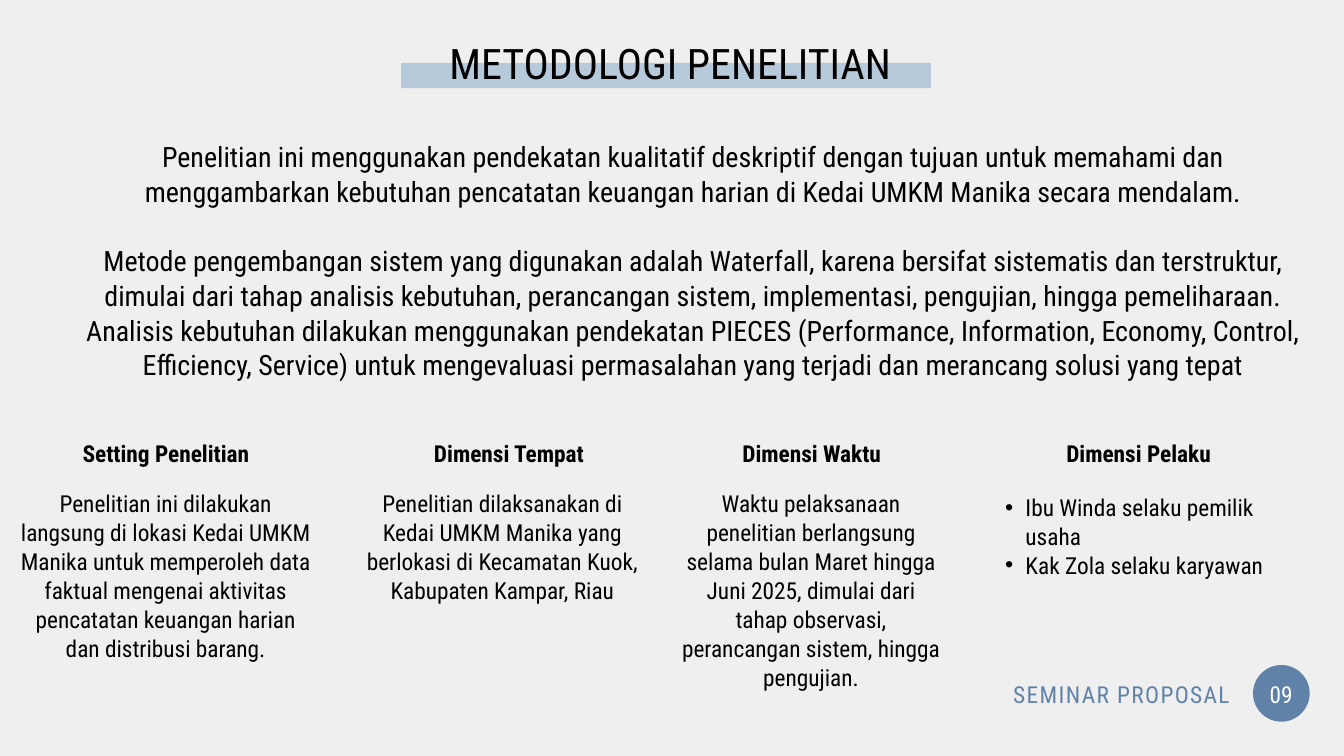
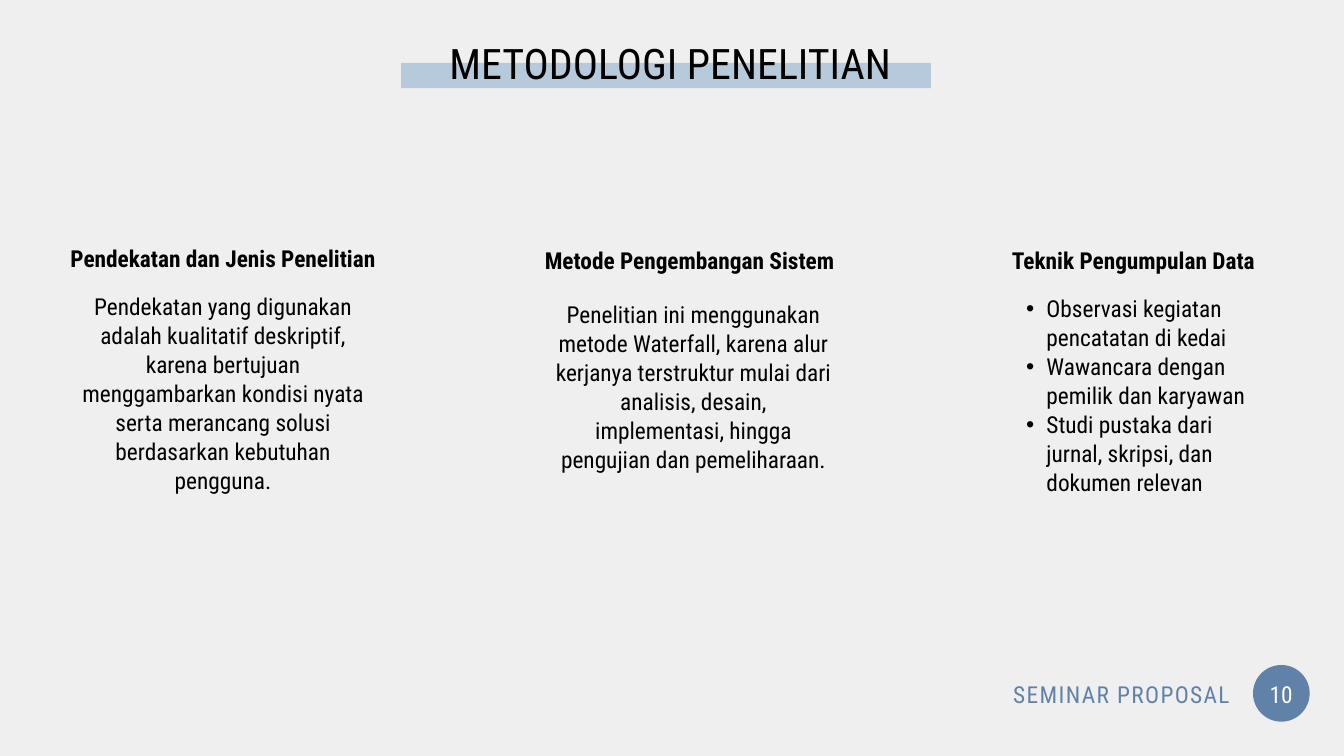
from lxml import etree
from pptx import Presentation
from pptx import util as u
from pptx.dml.color import RGBColor
from pptx.enum import shapes, text
from pptx.oxml.ns import qn

PX = 9525
FONT = "Roboto Condensed"
PAPER = RGBColor(0xEF, 0xEF, 0xEF)
INK = RGBColor(0, 0, 0)
WHITE = RGBColor(0xFF, 0xFF, 0xFF)
STEEL = RGBColor(0x61, 0x82, 0xA8)
MIST = RGBColor(0xB7, 0xCA, 0xDB)

CENTER, RIGHT, LEFT = text.PP_ALIGN.CENTER, text.PP_ALIGN.RIGHT, text.PP_ALIGN.LEFT
FRAME = dict(margin_left=0, margin_top=0, margin_right=0, margin_bottom=0,
             word_wrap=True, auto_size=text.MSO_AUTO_SIZE.SHAPE_TO_FIT_TEXT)
HEADING_HEIGHT = 41
BULLET_INDENT, BULLET_HANG = 57, 29

INTRO = [
    "Penelitian ini menggunakan pendekatan kualitatif deskriptif dengan tujuan untuk memahami dan "
    "menggambarkan kebutuhan pencatatan keuangan harian di Kedai UMKM Manika secara mendalam.",
    "Metode pengembangan sistem yang digunakan adalah Waterfall, karena bersifat sistematis dan "
    "terstruktur, dimulai dari tahap analisis kebutuhan, perancangan sistem, implementasi, pengujian, "
    "hingga pemeliharaan.",
    "Analisis kebutuhan dilakukan menggunakan pendekatan PIECES (Performance, Information, Economy, "
    "Control, Efficiency, Service) untuk mengevaluasi permasalahan yang terjadi dan merancang solusi "
    "yang tepat",
]

DIMENSIONS = [
    ("Setting Penelitian", (113, 626, 248), (24, 698, 425, 247),
     "Penelitian ini dilakukan langsung di lokasi Kedai UMKM Manika untuk memperoleh data faktual "
     "mengenai aktivitas pencatatan keuangan harian dan distribusi barang."),
    ("Dimensi Tempat", (615, 626, 224), (520, 698, 395, 165),
     "Penelitian dilaksanakan di Kedai UMKM Manika yang berlokasi di Kecamatan Kuok, "
     "Kabupaten Kampar, Riau"),
    ("Dimensi Waktu", (1055, 626, 209), (972, 698, 373, 288),
     "Waktu pelaksanaan penelitian berlangsung selama bulan Maret hingga Juni 2025, dimulai dari "
     "tahap observasi, perancangan sistem, hingga pengujian."),
    ("Dimensi Pelaku", (1520, 626, 213), (1408, 703, 422, 124),
     ["Ibu Winda selaku pemilik usaha", "Kak Zola selaku karyawan"]),
]

METHODS = [
    ("Pendekatan dan Jenis Penelitian", (63, 348, 511), (106, 416, 425, 288),
     "Pendekatan yang digunakan adalah kualitatif deskriptif, karena bertujuan menggambarkan kondisi "
     "nyata serta merancang solusi berdasarkan kebutuhan pengguna."),
    ("Metode Pengembangan Sistem", (771, 350, 428), (793, 428, 395, 247),
     "Penelitian ini menggunakan metode Waterfall, karena alur kerjanya terstruktur mulai dari "
     "analisis, desain, implementasi, hingga pengujian dan pemeliharaan."),
    ("Teknik Pengumpulan Data", (1438, 350, 362), (1438, 419, 373, 328),
     ["Observasi kegiatan pencatatan di kedai", "Wawancara dengan pemilik dan karyawan",
      "Studi pustaka dari jurnal, skripsi, dan dokumen relevan"]),
]


def apply_format(target, values):
    for key, value in values.items():
        setattr(target, key, value)


def to_emu(box):
    return [length * PX for length in box]


def add_plain_shape(slide, kind, box, color):
    shape = slide.shapes.add_shape(kind, *to_emu(box))
    shape.shadow.inherit = False
    shape.fill.solid()
    shape.fill.fore_color.rgb = color
    shape.line.fill.background()


def add_text(slide, box, lines, size=25, leading=31, color=INK, align=CENTER, bold=False):
    frame = slide.shapes.add_textbox(*to_emu(box)).text_frame
    apply_format(frame, FRAME)
    for index, line in enumerate(lines):
        paragraph = frame.add_paragraph() if index else frame.paragraphs[0]
        apply_format(paragraph, dict(alignment=align, line_spacing=u.Pt(leading)))
        run = paragraph.add_run()
        run.text = line
        apply_format(run.font, dict(name=FONT, size=u.Pt(size), bold=bold))
        run.font.color.rgb = color
    return frame.paragraphs


def add_bullets(slide, box, items):
    for paragraph in add_text(slide, box, items, align=LEFT):
        paragraph.level = 1
        properties = paragraph._p.get_or_add_pPr()
        properties.set("marL", str(BULLET_INDENT * PX))
        properties.set("indent", str(-BULLET_HANG * PX))
        etree.SubElement(properties, qn("a:buFont")).set("typeface", "Arial")
        etree.SubElement(properties, qn("a:buChar")).set("char", "•")


def add_topic(slide, heading, heading_place, body_box, body):
    add_text(slide, (*heading_place, HEADING_HEIGHT), [heading], bold=True)
    if isinstance(body, list):
        add_bullets(slide, body_box, body)
    else:
        add_text(slide, body_box, [body])


def add_intro(slide):
    paragraphs = add_text(slide, (109, 198, 1763, 343), INTRO, size=30, leading=37.2)
    paragraphs[1].space_before = u.Pt(37.2)


def add_base_slide(deck, number):
    slide = deck.slides.add_slide(deck.slide_layouts[6])
    slide.background.fill.solid()
    slide.background.fill.fore_color.rgb = PAPER
    add_plain_shape(slide, shapes.MSO_SHAPE.RECTANGLE, (573, 90, 757, 36), MIST)
    add_plain_shape(slide, shapes.MSO_SHAPE.OVAL, (1790, 950, 81, 81), STEEL)
    add_text(slide, (584, 41, 747, 82), ["METODOLOGI PENELITIAN"], size=45, leading=63)
    add_text(slide, (1788, 965, 84, 45), [f"{number:02}"], leading=35, color=WHITE)
    footer = add_text(slide, (1364, 965, 393, 45), ["SEMINAR PROPOSAL"],
                      leading=35, color=STEEL, align=RIGHT)
    footer[0].runs[0]._r.get_or_add_rPr().set("spc", "150")
    return slide


def main():
    deck = Presentation()
    apply_format(deck, dict(slide_width=1920 * PX, slide_height=1080 * PX))
    for number, topics in enumerate([DIMENSIONS, METHODS], start=9):
        slide = add_base_slide(deck, number)
        if topics is DIMENSIONS:
            add_intro(slide)
        for topic in topics:
            add_topic(slide, *topic)
    deck.save("out.pptx")


if __name__ == "__main__":
    main()
